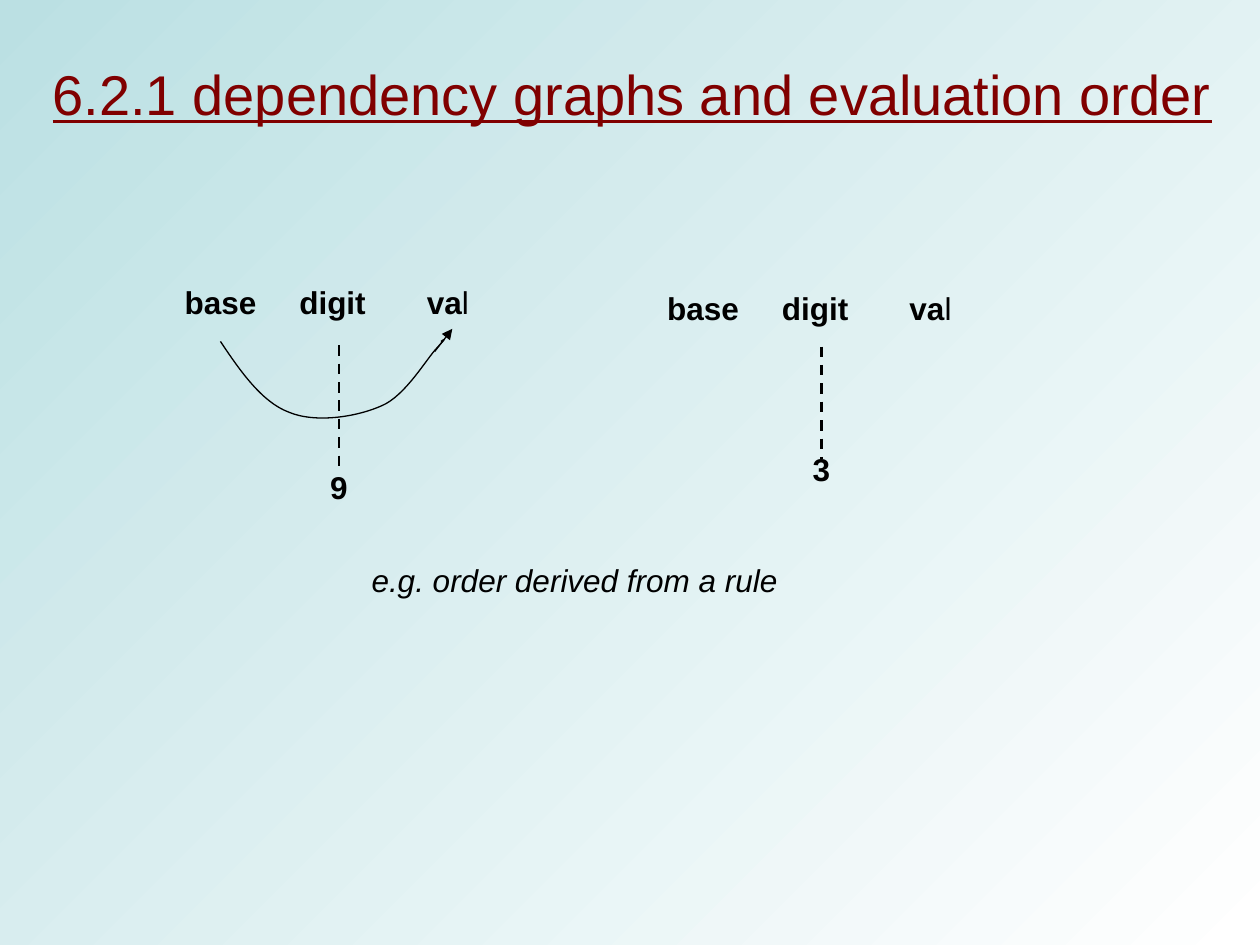
from lxml import etree
from pptx import Presentation
from pptx.dml.color import RGBColor
from pptx.enum.dml import MSO_LINE
from pptx.enum.shapes import MSO_CONNECTOR
from pptx.enum.text import MSO_ANCHOR, MSO_AUTO_SIZE, PP_ALIGN
from pptx.oxml.ns import qn
from pptx.util import Inches, Pt

STRAIGHT = MSO_CONNECTOR.STRAIGHT
DASH = MSO_LINE.DASH
MIDDLE = MSO_ANCHOR.MIDDLE
FIT_SHAPE = MSO_AUTO_SIZE.SHAPE_TO_FIT_TEXT
CENTER = PP_ALIGN.CENTER

COLORS = {"title": "800000", "ink": "000000", "bg_start": "BBE0E3", "bg_end": "FFFFFF"}
FONT = "Arial"
LABEL_W = 0.66
BOLD = {"bold": True}
ATTRIBUTES = [
    [("base", BOLD)],
    [("digit", BOLD)],
    [("va", BOLD), ("l ", {"bold": False})],
]
DEPENDENCY = [
    (1.75, 2.71),
    (1.91, 2.95), (2.08, 3.19), (2.29, 3.27),
    (2.5, 3.36), (2.83, 3.31), (3.03, 3.22),
    (3.22, 3.14), (3.39, 2.84), (3.47, 2.76),
    (3.55, 2.67), (3.53, 2.69), (3.5, 2.71),
]


def color(name):
    return RGBColor.from_string(COLORS[name])


def set_background(s):
    fill = s.background.fill
    fill.gradient()
    fill.gradient_angle = 315
    for stop, name in zip(fill.gradient_stops, ("bg_start", "bg_end")):
        stop.color.rgb = color(name)


def add_text(shapes, x, y, w, h, runs, size=18, ink="ink"):
    sp = shapes.add_textbox(Inches(x), Inches(y), Inches(w), Inches(h))
    tf = sp.text_frame
    tf.word_wrap = False
    tf.margin_right = 0
    p = tf.paragraphs[0]
    for text, style in runs:
        r = p.add_run()
        r.text = text
        r.font.name = FONT
        r.font.size = Pt(size)
        r.font.color.rgb = color(ink)
        for key, value in style.items():
            setattr(r.font, key, value)
    return tf


def add_label(shapes, x, y, h, runs):
    tf = add_text(shapes, x, y, LABEL_W, h, runs)
    tf.margin_left = 0
    tf.vertical_anchor = MIDDLE
    tf.paragraphs[0].alignment = CENTER


def add_line(shapes, start, end, width):
    line = shapes.add_connector(STRAIGHT, *(Inches(v) for v in start + end))
    line.line.color.rgb = color("ink")
    line.line.width = Pt(width)
    etree.SubElement(line._element.spPr, qn("a:effectLst"))
    return line


def add_arrow(shapes, start, end):
    line = add_line(shapes, start, end, 0.75)
    etree.SubElement(line.line._get_or_add_ln(), qn("a:tailEnd"), type="triangle")


def add_curve(shapes, points):
    points = [(Inches(x), Inches(y)) for x, y in points]
    builder = shapes.build_freeform(*points[0])
    builder.add_line_segments(points[1:], close=False)
    sp = builder.convert_to_shape()
    sp.shadow.inherit = False
    sp.fill.background()
    sp.line.color.rgb = color("ink")
    sp.line.width = Pt(0.75)
    segments = list(sp._element.iter(qn("a:lnTo")))
    for i in range(0, len(segments), 3):
        bezier = etree.Element(qn("a:cubicBezTo"))
        segments[i].addprevious(bezier)
        for segment in segments[i:i + 3]:
            bezier.append(segment[0])
            segment.getparent().remove(segment)


def add_tree(s, x, y, h, stem, leaf_y, leaf):
    shapes = s.shapes.add_group_shape().shapes
    for dx, runs in zip((0, 0.89, 1.84), ATTRIBUTES):
        add_label(shapes, x + dx, y, h, runs)
    stem_x = x + 1.27
    dashed = add_line(shapes, (stem_x, stem[0]), (stem_x, stem[1]), 1.5)
    dashed.line.dash_style = DASH
    add_label(shapes, x + 0.94, leaf_y, h, [(leaf, BOLD)])
    return shapes


def main():
    prs = Presentation()
    prs.slide_width, prs.slide_height = Inches(10), Inches(7.5)
    s = prs.slides.add_slide(prs.slide_layouts[6])
    set_background(s)

    title = [("6.2.1 dependency graphs and evaluation order", {"underline": True})]
    add_text(s.shapes, 0.32, 0.42, 9.4, 0.64, title, 32, "title").auto_size = FIT_SHAPE

    left = add_tree(s, 1.42, 2.17, 0.45, (2.74, 3.76), 3.64, "9")
    add_curve(left, DEPENDENCY)
    add_arrow(left, (3.45, 2.79), (3.59, 2.61))
    add_tree(s, 5.25, 2.25, 0.39, (2.75, 3.64), 3.53, "3")

    caption = [("e.g. order derived from a rule", {"italic": True})]
    add_text(s.shapes, 2.85, 4.4, 3.42, 0.4, caption).auto_size = FIT_SHAPE

    prs.save("out.pptx")


if __name__ == "__main__":
    main()
